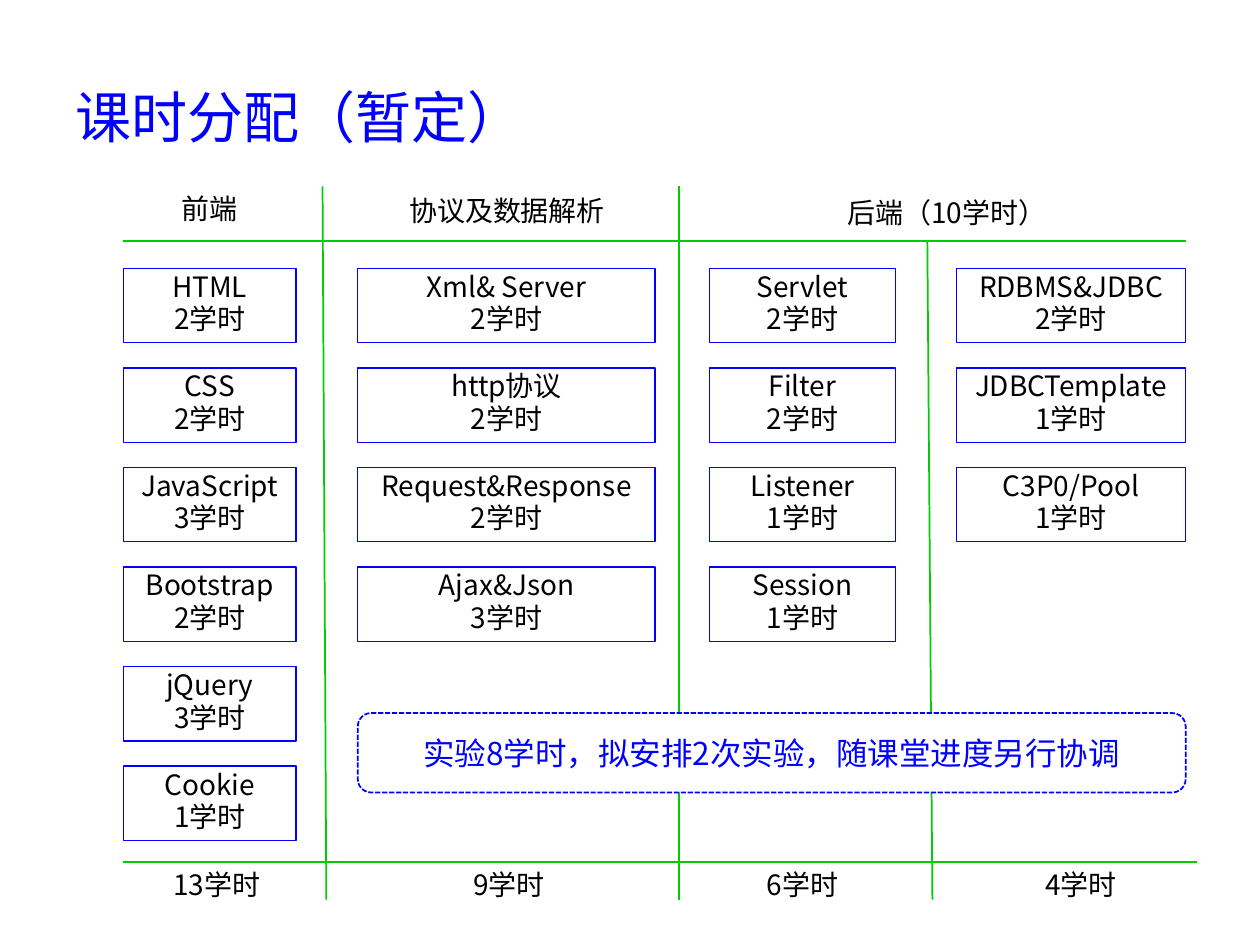
from dataclasses import dataclass

from lxml import etree
from pptx import Presentation
from pptx.dml.color import RGBColor
from pptx.enum.dml import MSO_LINE
from pptx.enum.shapes import MSO_CONNECTOR, MSO_SHAPE
from pptx.enum.text import MSO_ANCHOR, MSO_AUTO_SIZE, PP_ALIGN
from pptx.oxml.ns import qn
from pptx.util import Inches, Pt

RECT = MSO_SHAPE.RECTANGLE
ROUNDED = MSO_SHAPE.ROUNDED_RECTANGLE
STRAIGHT = MSO_CONNECTOR.STRAIGHT
DASH = MSO_LINE.SQUARE_DOT
LEFT, CENTER = PP_ALIGN.LEFT, PP_ALIGN.CENTER
MIDDLE = MSO_ANCHOR.MIDDLE
GROW = MSO_AUTO_SIZE.SHAPE_TO_FIT_TEXT


@dataclass(frozen=True)
class Theme:
    font: str = "Noto Sans CJK SC"
    blue: RGBColor = RGBColor(0, 0, 255)
    green: RGBColor = RGBColor(0, 204, 0)
    black: RGBColor = RGBColor(0, 0, 0)
    white: RGBColor = RGBColor(255, 255, 255)
    title: Pt = Pt(32)
    note: Pt = Pt(18)
    body: Pt = Pt(16)
    card_gap: Pt = Pt(3.2)


THEME = Theme()
CARD_TOP, CARD_HEIGHT, CARD_STEP = 2.13, 0.59, 0.79
LABEL_HEIGHT, TOTAL_WIDTH = 0.37, 1.5
HEADER_LINE, TOTAL_LINE = 1.91, 6.84

COLUMNS = [
    (0.98, 1.37, 0.97, 13, [("HTML", 2), ("CSS", 2), ("JavaScript", 3),
                            ("Bootstrap", 2), ("jQuery", 3), ("Cookie", 1)]),
    (2.84, 2.36, 3.29, 9, [("Xml& Server", 2), ("http协议", 2),
                           ("Request&Response", 2), ("Ajax&Json", 3)]),
    (5.63, 1.48, 5.62, 6, [("Servlet", 2), ("Filter", 2),
                           ("Listener", 1), ("Session", 1)]),
    (7.59, 1.82, 7.83, 4, [("RDBMS&JDBC", 2), ("JDBCTemplate", 1),
                           ("C3P0/Pool", 1)]),
]
HEADERS = [
    ("前端", (0.98, 1.47, 1.37, LABEL_HEIGHT)),
    ("协议及数据解析", (2.84, 1.49, 2.37, LABEL_HEIGHT)),
    ("后端（10学时）", (5.62, 1.5, 3.79, LABEL_HEIGHT)),
]
DIVIDERS = [
    (2.56, 1.48, 2.59, 7.14),
    (5.39, 1.48, 5.39, 7.14),
    (7.36, HEADER_LINE, 7.4, 7.14),
    (0.98, HEADER_LINE, 9.41, HEADER_LINE),
    (0.98, TOTAL_LINE, 9.5, TOTAL_LINE),
]


def inches(box):
    return [Inches(v) for v in box]


def set_text(tf, text, size, color, align=CENTER, spacing=None, before=None):
    tf.text = text
    tf.word_wrap = True
    for p in tf.paragraphs:
        p.alignment = align
        p.line_spacing = spacing
        p.space_before = before
        for r in p.runs:
            r.font.name = THEME.font
            r.font.size = size
            r.font.color.rgb = color
            ea = etree.SubElement(r.font._element, qn("a:ea"))
            ea.set("typeface", THEME.font)


def add_title(slide, box, text):
    sp = slide.shapes.title
    sp.left, sp.top, sp.width, sp.height = inches(box)
    sp.text_frame.vertical_anchor = MIDDLE
    set_text(sp.text_frame, text, THEME.title, THEME.blue, LEFT)


def add_label(slide, box, text):
    tf = slide.shapes.add_textbox(*inches(box)).text_frame
    set_text(tf, text, THEME.body, THEME.black)
    tf.auto_size = GROW


def add_frame(slide, box, kind, width):
    sp = slide.shapes.add_shape(kind, *inches(box))
    sp.shadow.inherit = False
    sp.line.color.rgb = THEME.blue
    sp.line.width = Pt(width)
    sp.text_frame.vertical_anchor = MIDDLE
    return sp


def add_card(slide, box, topic, hours):
    sp = add_frame(slide, box, RECT, 0.75)
    sp.fill.background()
    set_text(sp.text_frame, f"{topic}\n{hours}学时", THEME.body, THEME.black,
             spacing=0.8, before=THEME.card_gap)


def add_column(slide, box, topics):
    left, top, width, height = box
    for i, (topic, hours) in enumerate(topics):
        add_card(slide, (left, top + i * CARD_STEP, width, height), topic, hours)


def add_divider(slide, ends):
    line = slide.shapes.add_connector(STRAIGHT, *inches(ends))
    line.line.color.rgb = THEME.green
    line.line.width = Pt(1)
    etree.SubElement(line._element.spPr, qn("a:effectLst"))


def add_note(slide, box, text):
    sp = add_frame(slide, box, ROUNDED, 1)
    sp.fill.solid()
    sp.fill.fore_color.rgb = THEME.white
    sp.line.dash_style = DASH
    set_text(sp.text_frame, text, THEME.note, THEME.blue)


def main():
    prs = Presentation()
    prs.slide_width, prs.slide_height = Inches(10), Inches(7.5)
    slide = prs.slides.add_slide(prs.slide_layouts[5])
    add_title(slide, (0.5, 0.3, 9, 1.25), "课时分配（暂定）")
    for left, width, total_left, total, topics in COLUMNS:
        add_column(slide, (left, CARD_TOP, width, CARD_HEIGHT), topics)
        add_label(slide, (total_left, TOTAL_LINE, TOTAL_WIDTH, LABEL_HEIGHT),
                  f"{total}学时")
    for ends in DIVIDERS:
        add_divider(slide, ends)
    for text, box in HEADERS:
        add_label(slide, box, text)
    add_note(slide, (2.84, 5.66, 6.57, 0.63),
             "实验8学时，拟安排2次实验，随课堂进度另行协调")
    prs.save("out.pptx")


if __name__ == "__main__":
    main()
